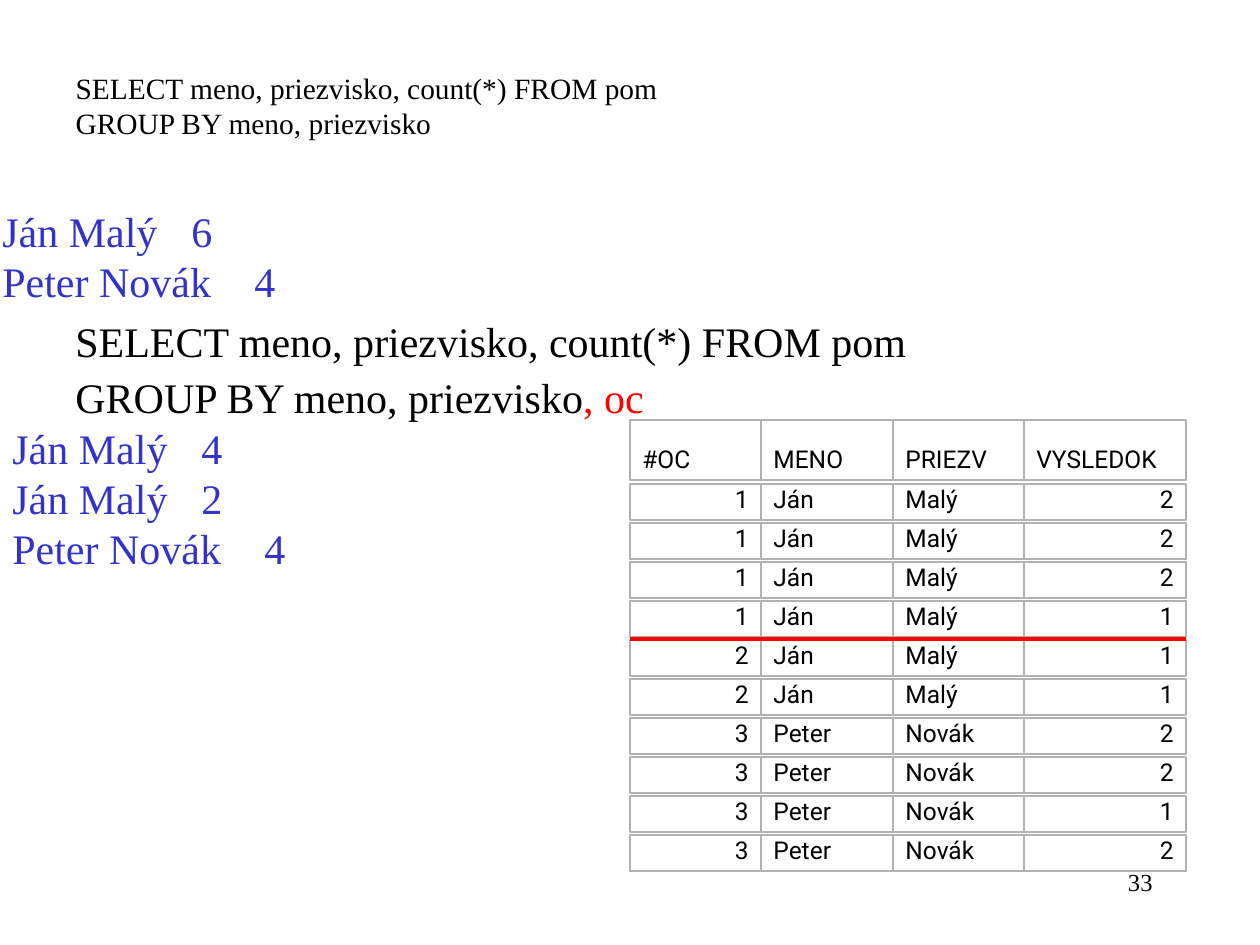
from dataclasses import dataclass
from itertools import accumulate

from lxml.etree import SubElement
from pptx import Presentation
from pptx.dml.color import RGBColor
from pptx.enum.shapes import MSO_CONNECTOR as Connector, MSO_SHAPE as Shape
from pptx.enum.text import MSO_ANCHOR as Anchor, MSO_AUTO_SIZE as AutoSize, PP_ALIGN as Align
from pptx.oxml.ns import qn
from pptx.util import Emu, Pt

PX_PER_INCH = 126
SERIF, SANS = "Times New Roman", "Roboto"
BLACK, BLUE, RED, GRAY = "000000", "3333CC", "FF0000", "B2B2B2"


@dataclass
class Span:
    text: str
    color: str = BLACK


@dataclass
class Style:
    size: float
    font: str = SERIF
    indent: int = 0  # hanging indent, px
    spacing: float = 1.0
    before: int = 0
    align: Align = Align.LEFT


@dataclass
class TextBlock:
    left: int
    top: int
    width: int
    height: int
    style: Style
    lines: list[list[Span]]
    wrap: bool = True


def px(value: int) -> Emu:
    return Emu(round(value * 914400 / PX_PER_INCH))


def rgb(value: str) -> RGBColor:
    return RGBColor.from_string(value)


def fill_text(frame, lines: list[list[Span]], style: Style) -> None:
    frame.margin_left = frame.margin_right = Pt(7.2)
    frame.margin_top = frame.margin_bottom = Pt(3.6)
    for index, spans in enumerate(lines):
        para = frame.add_paragraph() if index else frame.paragraphs[0]
        # No bullet, a hanging indent and one tab stop per inch
        props = para._p.get_or_add_pPr()
        props.set("marL", str(px(style.indent)))
        props.set("indent", str(-px(style.indent)))
        SubElement(props, qn("a:buNone"))
        tabs = SubElement(props, qn("a:tabLst"))
        for inch in range(8):
            SubElement(tabs, qn("a:tab"), pos=str(px(inch * PX_PER_INCH)), algn="l")
        para.alignment = style.align
        para.line_spacing = style.spacing
        para.space_before = Pt(style.before if index else 0)
        for span in spans:
            run = para.add_run()
            run.text = span.text
            run.font.size = Pt(style.size)
            run.font.name = style.font
            run.font.color.rgb = rgb(span.color)


def place_block(shape, block: TextBlock) -> None:
    shape.left, shape.top = px(block.left), px(block.top)
    shape.width, shape.height = px(block.width), px(block.height)
    frame = shape.text_frame
    frame.word_wrap = block.wrap
    frame.auto_size = AutoSize.NONE if block.wrap else AutoSize.SHAPE_TO_FIT_TEXT
    frame.vertical_anchor = Anchor.TOP
    fill_text(frame, block.lines, block.style)


def add_block(page, block: TextBlock) -> None:
    place_block(page.shapes.add_textbox(0, 0, 0, 0), block)


def add_cell(page, left: int, top: int, width: int, height: int, text: str) -> None:
    cell = page.shapes.add_shape(Shape.RECTANGLE, px(left), px(top), px(width), px(height))
    cell.shadow.inherit = False
    cell.fill.background()
    cell.line.color.rgb = rgb(GRAY)
    cell.line.width = Pt(0.75)
    cell.text_frame.word_wrap = True
    cell.text_frame.vertical_anchor = Anchor.BOTTOM
    align = Align.RIGHT if text.isdigit() else Align.LEFT
    fill_text(cell.text_frame, [[Span(text)]], Style(14, SANS, align=align))


def add_rule(page, left: int, right: int, y: int) -> None:
    rule = page.shapes.add_connector(Connector.STRAIGHT, px(left), px(y), px(right), px(y))
    SubElement(rule._element.spPr, qn("a:effectLst"))
    rule.line.color.rgb = rgb(RED)
    rule.line.width = Pt(2.25)


# Result grid: separate cells with a small gap between rows
GRID_LEFT, HEADER_TOP, HEADER_HEIGHT = 630, 420, 60
ROWS_TOP, ROW_STEP, ROW_HEIGHT = 484, 39, 36
COLUMN_WIDTHS = [131, 132, 131, 162]
HEADER = ["#OC", "MENO", "PRIEZV", "VYSLEDOK"]
JAN, PETER = ("Ján", "Malý"), ("Peter", "Novák")
RESULTS = [
    ("1", JAN, "2222"[:3] + "1"),
    ("2", JAN, "11"),
    ("3", PETER, "2212"),
]


def add_grid(page) -> None:
    rows = [(HEADER_TOP, HEADER_HEIGHT, HEADER)]
    records = [[number, *person, mark] for number, person, marks in RESULTS for mark in marks]
    for index, record in enumerate(records):
        rows.append((ROWS_TOP + index * ROW_STEP, ROW_HEIGHT, record))
    lefts = list(accumulate(COLUMN_WIDTHS, initial=GRID_LEFT))
    for top, height, texts in rows:
        for left, width, text in zip(lefts, COLUMN_WIDTHS, texts):
            add_cell(page, left, top, width, height, text)


def main() -> None:
    deck = Presentation()
    deck.slide_width, deck.slide_height = px(1260), px(945)
    page = deck.slides.add_slide(deck.slide_layouts[1])
    title = page.shapes.title
    title._element.getparent().remove(title._element)

    select = [Span("SELECT meno, priezvisko, count(*) FROM pom")]
    group = Span("GROUP BY meno, priezvisko")
    answer_style = Style(24, indent=63)

    # Page number
    add_block(page, TextBlock(903, 861, 262, 63, Style(14, align=Align.RIGHT), [[Span("33")]]))

    # First query and its answer
    query_style = Style(16.8, indent=48, spacing=0.7, before=6)
    place_block(page.placeholders[1],
                TextBlock(63, 73, 1071, 73, query_style, [select, [group]]))
    answer = [[Span(text, BLUE)] for text in ("Ján Malý\t6", "Peter Novák\t4")]
    add_block(page, TextBlock(-10, 199, 486, 113, answer_style, answer, wrap=False))

    add_grid(page)

    # Second query and its answer
    query_style = Style(24, indent=48, spacing=0.9, before=6)
    add_block(page, TextBlock(63, 315, 1071, 73, query_style,
                              [select, [group, Span(", oc", RED)]]))
    answer = [[Span(text, BLUE)] for text in ("Ján Malý\t4", "Ján Malý\t2", "Peter Novák\t4")]
    add_block(page, TextBlock(0, 416, 486, 164, answer_style, answer, wrap=False))

    # Border between the first two groups
    add_rule(page, GRID_LEFT, GRID_LEFT + sum(COLUMN_WIDTHS), 639)

    deck.save("out.pptx")


if __name__ == "__main__":
    main()
